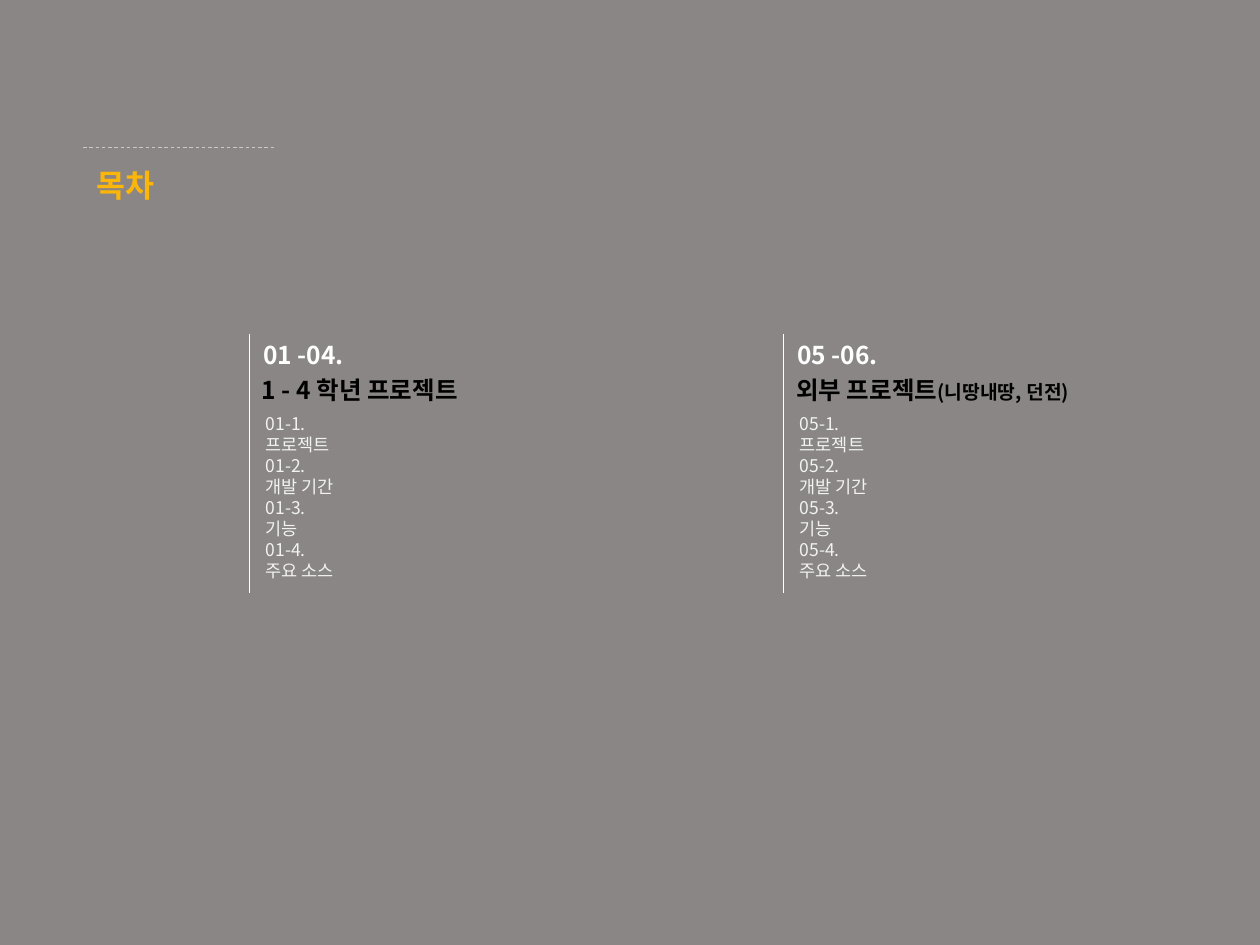
from dataclasses import dataclass

from pptx import Presentation
from pptx.dml.color import RGBColor
from pptx.enum import dml, shapes, text
from pptx.oxml import ns, xmlchemy
from pptx.util import Inches, Pt


@dataclass(frozen=True)
class Theme:
    back: str = "8A8686"
    gold: str = "FBB609"
    rule: str = "C9C9C9"
    white: str = "FFFFFF"
    pale: str = "F2F2F2"
    black: str = "000000"
    latin: str = "Calibri"
    korean: str = "Noto Sans CJK KR"
    title: int = 18
    head: int = 14
    note: int = 11
    item: int = 10


THEME = Theme()
ITEMS = ["프로젝트", "개발 기간", "기능", "주요 소스"]


def add_run(para, words, size, color, bold, font):
    run = para.add_run()
    run.text = words
    run.font.size = Pt(size)
    run.font.bold = bold
    run.font.name = font
    run.font.color.rgb = RGBColor.from_string(color)
    # East Asian letters take their own font
    asian = xmlchemy.OxmlElement("a:ea")
    asian.set("typeface", THEME.korean)
    run.font._element.find(ns.qn("a:latin")).addnext(asian)


def add_text(slide, lines, left, top, width, height, *, size, color,
             bold=False, font=THEME.korean, wrap=False, right=0.1, note=None):
    box = slide.shapes.add_textbox(
        Inches(left), Inches(top), Inches(width), Inches(height))
    frame = box.text_frame
    frame.word_wrap = wrap
    frame.margin_right = Inches(right)
    if not wrap:
        frame.auto_size = text.MSO_AUTO_SIZE.SHAPE_TO_FIT_TEXT
    for i, line in enumerate(lines):
        para = frame.paragraphs[0] if i == 0 else frame.add_paragraph()
        add_run(para, line, size, color, bold, font)
    if note:
        add_run(para, note, THEME.note, color, bold, font)


def add_line(slide, x1, y1, x2, y2, color, dash=None):
    line = slide.shapes.add_connector(
        shapes.MSO_CONNECTOR.STRAIGHT,
        Inches(x1), Inches(y1), Inches(x2), Inches(y2))
    line.line.color.rgb = RGBColor.from_string(color)
    line.line.width = Pt(0.5)
    line.line.dash_style = dash
    line._element.spPr.append(xmlchemy.OxmlElement("a:effectLst"))


def add_title(slide, left, top, width):
    # Dashed rule with the title below it
    add_line(slide, left, top, left + width, top, THEME.rule,
             dml.MSO_LINE.DASH)
    add_text(slide, ["목차"], left + 0.01, top + 0.1, 0.71, 0.4,
             size=THEME.title, color=THEME.gold, bold=True, font=THEME.latin)


def add_part(slide, left, top, height, span, name, width, first, note=None):
    # Upright rule
    add_line(slide, left, top, left, top + height, THEME.white)
    # Number and heading
    add_text(slide, [span], left + 0.01, top, 0.86, 0.34,
             size=THEME.head, color=THEME.white, bold=True)
    add_text(slide, [name], left, top + 0.28, width, 0.34,
             size=THEME.head, color=THEME.black, bold=True, note=note)
    # Numbered items, each on two lines
    lines = []
    for i, item in enumerate(ITEMS, 1):
        lines += [f"{first}-{i}.", item]
    add_text(slide, lines, left + 0.03, top + 0.58, 2.68, 1.62,
             size=THEME.item, color=THEME.pale, wrap=True, right=0)


def main():
    deck = Presentation()
    deck.slide_width, deck.slide_height = Inches(10), Inches(7.5)
    slide = deck.slides.add_slide(deck.slide_layouts[6])
    fill = slide.background.fill
    fill.solid()
    fill.fore_color.rgb = RGBColor.from_string(THEME.back)

    add_title(slide, 0.66, 1.17, 1.52)
    add_part(slide, 1.98, 2.65, 2.06, "01 -04.", "1 - 4 학년 프로젝트",
             1.96, "01")
    add_part(slide, 6.22, 2.65, 2.06, "05 -06.", "외부 프로젝트",
             2.58, "05", note="(니땅내땅, 던전)")
    deck.save("out.pptx")


if __name__ == "__main__":
    main()
